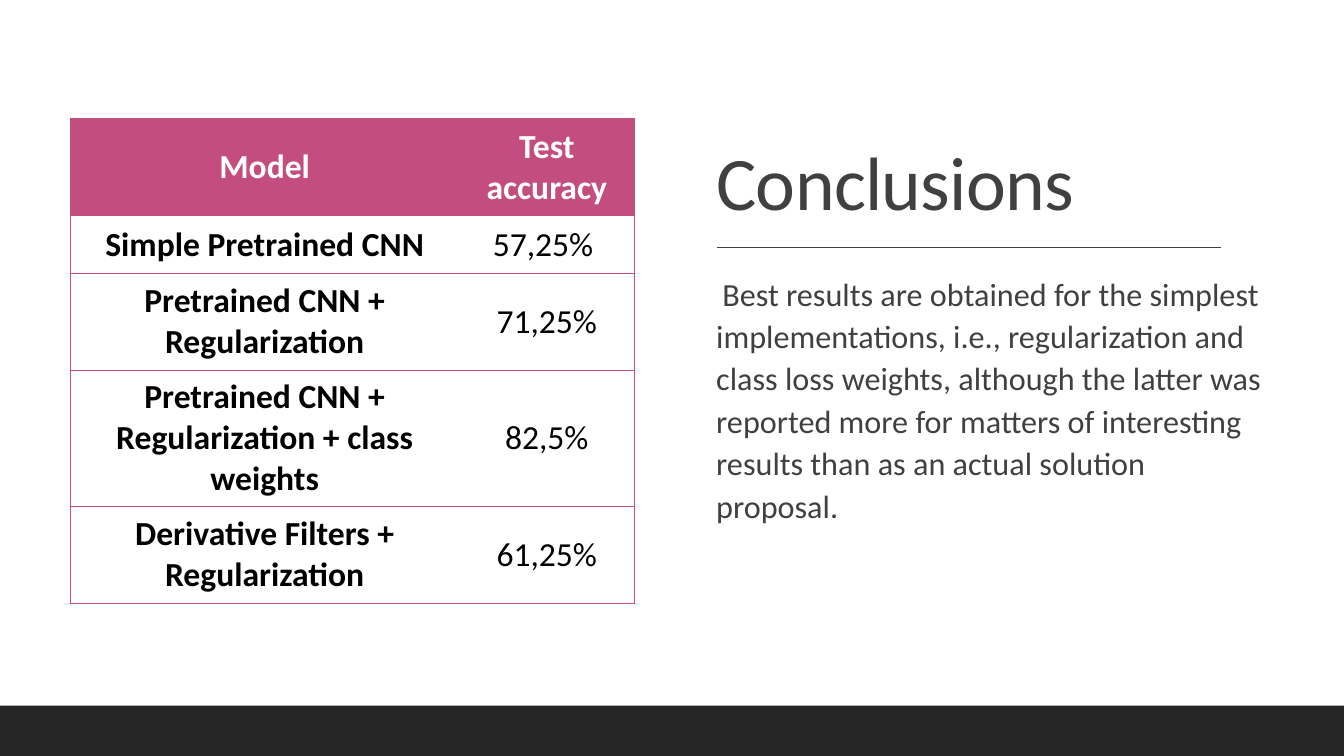
"""Build the Conclusions slide with a table of model accuracies."""
from lxml import etree
from pptx import Presentation
from pptx.dml.color import RGBColor
from pptx.enum.shapes import MSO_CONNECTOR, MSO_SHAPE
from pptx.enum.text import MSO_ANCHOR as Anchor, MSO_AUTO_SIZE, PP_ALIGN as Align
from pptx.oxml.ns import qn
from pptx.util import Cm, Pt

PINK = RGBColor(0xC3, 0x4D, 0x7F)
WHITE = RGBColor(0xFF, 0xFF, 0xFF)
BLACK = RGBColor(0, 0, 0)
GRAY = RGBColor(0x40, 0x40, 0x40)
CHARCOAL = RGBColor(0x26, 0x26, 0x26)


def write(text_frame, text, size, color, bold=False, align=Align.LEFT, spacing=1.0):
    paragraph = text_frame.paragraphs[0]
    paragraph.alignment = align
    paragraph.line_spacing = spacing
    run = paragraph.add_run()
    run.text = text
    run.font.name = "Calibri"
    run.font.size = Pt(size)
    run.font.bold = bold
    run.font.color.rgb = color
    return paragraph


def add_border(cell, side, visible):
    properties = cell._tc.get_or_add_tcPr()
    line = etree.SubElement(properties, qn(f"a:ln{side}"), w=str(Pt(1)))
    if visible:
        fill = etree.SubElement(line, qn("a:solidFill"))
        etree.SubElement(fill, qn("a:srgbClr"), val=str(PINK))
    else:
        etree.SubElement(line, qn("a:noFill"))


presentation = Presentation()
presentation.slide_width = Cm(33.87)
presentation.slide_height = Cm(19.05)
slide = presentation.slides.add_slide(presentation.slide_layouts[5])
slide.background.fill.solid()
slide.background.fill.fore_color.rgb = WHITE

title = slide.shapes.title
title.left, title.top, title.width, title.height = Cm(17.8), Cm(1.75), Cm(14.25), Cm(4.04)
title.text_frame.vertical_anchor = Anchor.BOTTOM
title.text_frame.auto_size = MSO_AUTO_SIZE.NONE
heading = write(title.text_frame, "Conclusions", 54, GRAY, spacing=0.8)
heading.runs[0].font._element.set("spc", "-50")

divider = slide.shapes.add_connector(MSO_CONNECTOR.STRAIGHT, Cm(18.08), Cm(6.24), Cm(30.78), Cm(6.24))
divider.line.color.rgb = GRAY
divider.line.width = Pt(1)
etree.SubElement(divider._element.spPr, qn("a:effectLst"))

body = slide.shapes.add_textbox(Cm(17.8), Cm(6.68), Cm(14.25), Cm(9.63))
body.text_frame.word_wrap = True
body.text_frame.margin_left = body.text_frame.margin_right = 0
conclusion = write(
    body.text_frame,
    "Best results are obtained for the simplest implementations, i.e., regularization and "
    "class loss weights, although the latter was reported more for matters of interesting "
    "results than as an actual solution proposal.",
    23, GRAY, spacing=1.1)
conclusion.space_before = Pt(12)
conclusion.space_after = Pt(2)
indents = conclusion._p.get_or_add_pPr()
indents.set("marL", str(Cm(0.25)))
indents.set("indent", str(-Cm(0.25)))
bullet_color = etree.SubElement(indents, qn("a:buClr"))
etree.SubElement(bullet_color, qn("a:srgbClr"), val=str(PINK))
etree.SubElement(indents, qn("a:buChar"), char=" ")

footer = slide.shapes.add_shape(MSO_SHAPE.RECTANGLE, 0, Cm(17.78), presentation.slide_width, Cm(1.27))
footer.shadow.inherit = False
footer.fill.solid()
footer.fill.fore_color.rgb = CHARCOAL
footer.line.fill.background()

results = [
    ("Model", "Test accuracy"),
    ("Simple Pretrained CNN", "57,25% "),
    ("Pretrained CNN + Regularization", "71,25%"),
    ("Pretrained CNN + Regularization + class weights", "82,5%"),
    ("Derivative Filters + Regularization", "61,25%"),
]
column_widths = [9.78, 4.44]
row_heights = [2.44, 1.45, 2.44, 3.43, 2.44]
table = slide.shapes.add_table(
    len(results), len(column_widths), Cm(1.78), Cm(3),
    Cm(sum(column_widths)), Cm(sum(row_heights))).table
for column, width in zip(table.columns, column_widths):
    column.width = Cm(width)
for row, height in zip(table.rows, row_heights):
    row.height = Cm(height)

for row_index, values in enumerate(results):
    is_header = row_index == 0
    for column_index, value in enumerate(values):
        is_model = column_index == 0
        cell = table.cell(row_index, column_index)
        cell.vertical_anchor = Anchor.MIDDLE
        cell.margin_left = cell.margin_right = Cm(0.33)
        cell.margin_top = cell.margin_bottom = Cm(0.17)
        for side, visible in (("L", is_model), ("R", not is_model), ("T", True), ("B", True)):
            add_border(cell, side, visible)
        cell.fill.solid()
        cell.fill.fore_color.rgb = PINK if is_header else WHITE
        write(cell.text_frame, value, 24, WHITE if is_header else BLACK,
              bold=is_header or is_model, align=Align.CENTER)

presentation.save("out.pptx")
